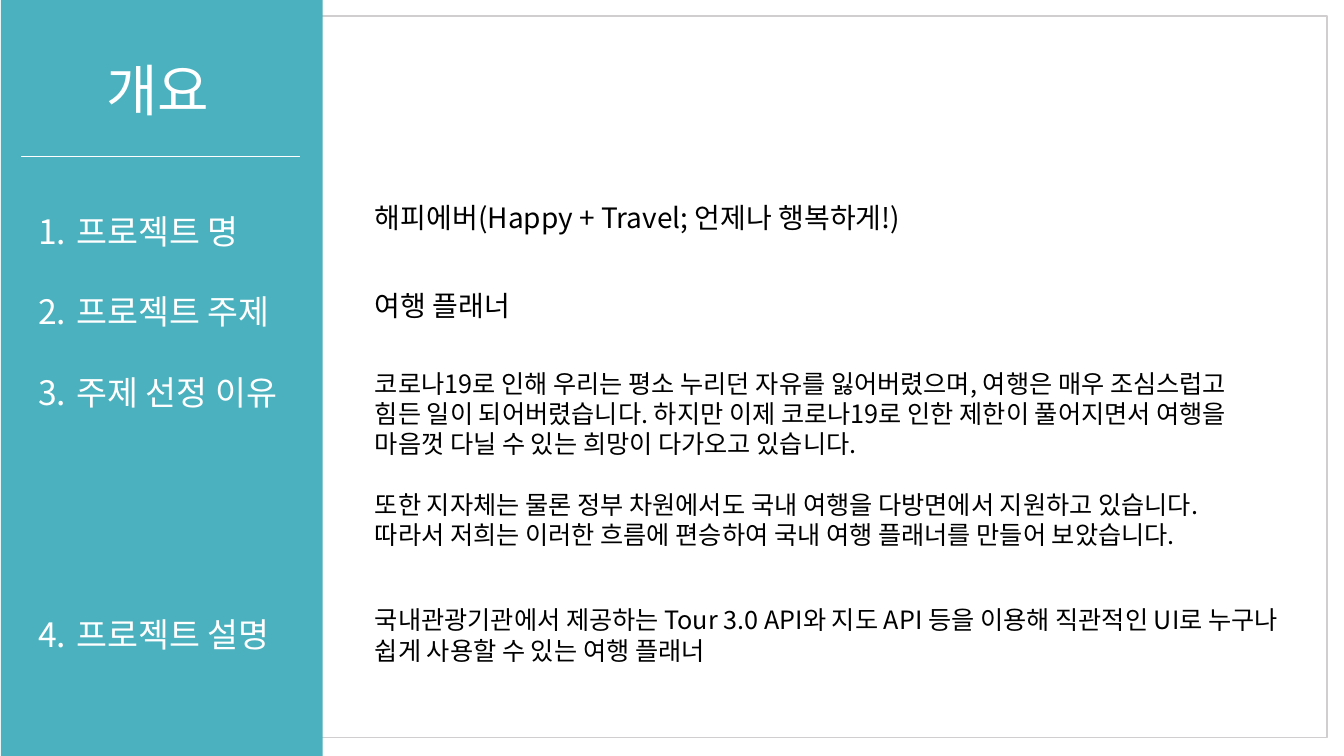
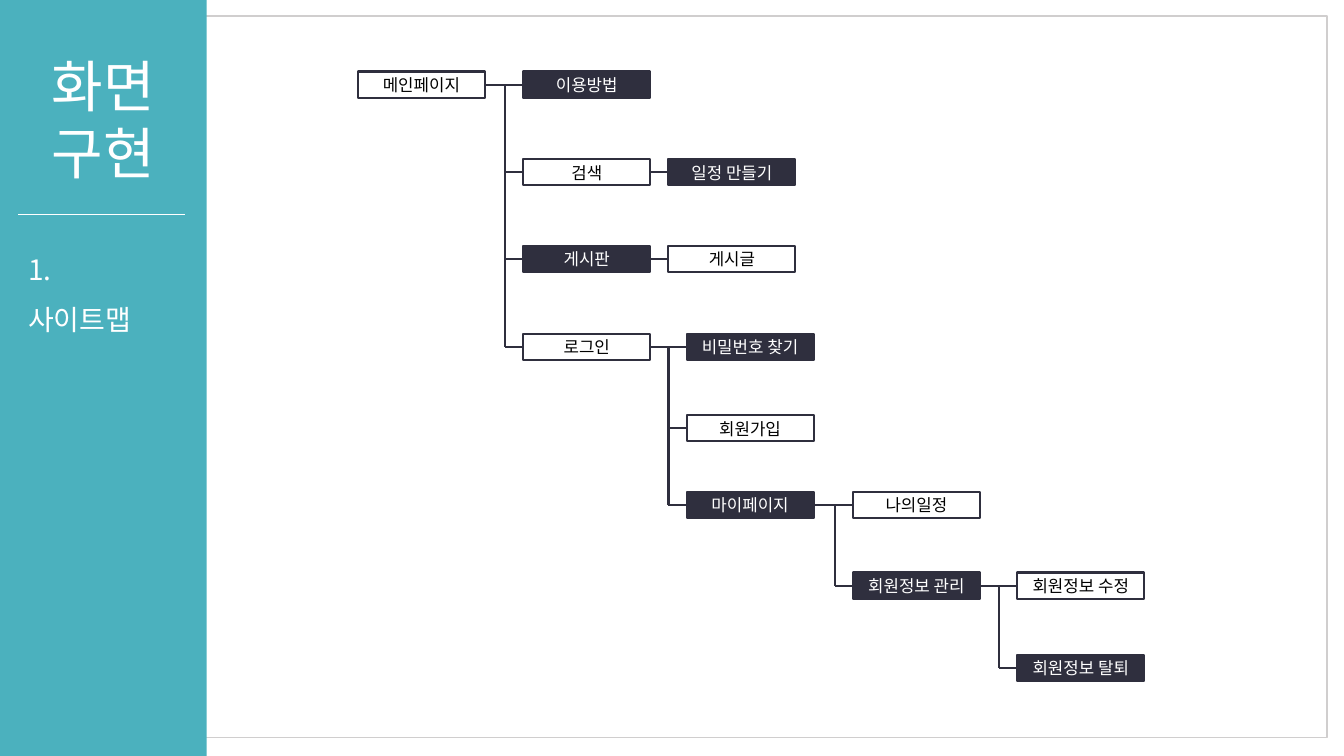
from lxml import etree
from pptx import Presentation
from pptx import util as u
from pptx.dml.color import RGBColor
from pptx.enum import shapes, text
from pptx.oxml import ns

PX = 9144
FONT = "Noto Sans CJK KR"
COLORS = {"teal": "4BB1BE", "frame": "D0CECE", "navy": "2F2F3E", "white": "FFFFFF", "black": "000000"}
NODE_WIDTH, NODE_HEIGHT, TRUNK_GAP = 126, 26, 18
TOP, LEFT, BOTTOM, RIGHT = range(4)


def color(name):
    return RGBColor.from_string(COLORS[name])


def write(shape, content, size=18, ink="black", align="LEFT", spacing=None, gaps=None, numbered=False):
    frame = shape.text_frame
    frame.word_wrap = True
    for index, line in enumerate(content.split("\n")):
        paragraph = frame.paragraphs[0] if index == 0 else frame.add_paragraph()
        paragraph.alignment = getattr(text.PP_ALIGN, align)
        if spacing:
            paragraph.line_spacing = spacing
        if gaps and index in gaps:
            paragraph.space_before = u.Pt(gaps[index])
        if numbered:
            properties = paragraph._p.get_or_add_pPr()
            properties.set("marL", str(38 * PX))
            properties.set("indent", str(-38 * PX))
            etree.SubElement(properties, ns.qn("a:buFont"), typeface="+mj-lt")
            etree.SubElement(properties, ns.qn("a:buAutoNum"), type="arabicPeriod")
        run = paragraph.add_run()
        run.text = line
        run.font.size = u.Pt(size)
        run.font.color.rgb = color(ink)
        run.font.name = FONT
        etree.SubElement(run._r.get_or_add_rPr(), ns.qn("a:ea"), typeface=FONT)


class Deck:
    """Holds the shared style and the slide being drawn."""

    def __init__(self):
        self.presentation = Presentation()
        self.presentation.slide_width = 1333 * PX
        self.presentation.slide_height = 750 * PX
        self.slide = None

    def rectangle(self, left, top, width, height, fill=None, line=None, weight=1):
        shape = self.slide.shapes.add_shape(
            shapes.MSO_SHAPE.RECTANGLE, left * PX, top * PX, width * PX, height * PX)
        shape.shadow.inherit = False
        if fill:
            shape.fill.solid()
            shape.fill.fore_color.rgb = color(fill)
        else:
            shape.fill.background()
        if line:
            shape.line.color.rgb = color(line)
            shape.line.width = u.Pt(weight)
        else:
            shape.line.fill.background()
        return shape

    def textbox(self, left, top, width, height, content, **style):
        box = self.slide.shapes.add_textbox(left * PX, top * PX, width * PX, height * PX)
        write(box, content, **style)

    def line(self, start, end, ink="navy", weight=1.5, begin=None, finish=None):
        points = [value * PX for value in (*start, *end)]
        connector = self.slide.shapes.add_connector(shapes.MSO_CONNECTOR.STRAIGHT, *points)
        connector.line.color.rgb = color(ink)
        connector.line.width = u.Pt(weight)
        etree.SubElement(connector._element.spPr, ns.qn("a:effectLst"))
        if begin is not None:
            connector.begin_connect(begin, RIGHT)
        if finish is not None:
            connector.end_connect(finish, LEFT)

    def page(self, title, band, title_area, divider):
        self.slide = self.presentation.slides.add_slide(self.presentation.slide_layouts[6])
        self.rectangle(19, 16, 1297, 716, line="frame")
        self.rectangle(band[0], 0, band[1], 750, fill="teal")
        self.textbox(*title_area, title, size=40, ink="white", align="CENTER")
        left, right, height = divider
        self.line((left, height), (right, height), ink="white", weight=1)

    def node(self, label, left, top, dark):
        shape = self.rectangle(left, top, NODE_WIDTH, NODE_HEIGHT,
                               fill="navy" if dark else None, line="navy", weight=1.5)
        shape.text_frame.vertical_anchor = text.MSO_ANCHOR.MIDDLE
        write(shape, label, size=12, ink="white" if dark else "black", align="CENTER")
        return shape

    def branch(self, nodes, places, parent, children):
        def side(name, offset=0):
            left, top = places[name]
            return left + offset, top + NODE_HEIGHT // 2

        first, *others = children
        self.line(side(parent, NODE_WIDTH), side(first), begin=nodes[parent], finish=nodes[first])
        for name in others:
            self.line(side(name, -TRUNK_GAP), side(name), finish=nodes[name])
        if others:
            self.line(side(first, -TRUNK_GAP), side(others[-1], -TRUNK_GAP))


def overview(deck):
    deck.page("개요", (1, 319), (54, 50, 205, 77), (21, 298, 155))
    deck.textbox(28, 164, 272, 485, "프로젝트 명\n프로젝트 주제\n주제 선정 이유\n프로젝트 설명",
                 size=24, ink="white", spacing=2.0, gaps={3: 115}, numbered=True)
    reasons = "\n".join([
        "코로나19로 인해 우리는 평소 누리던 자유를 잃어버렸으며, 여행은 매우 조심스럽고",
        "힘든 일이 되어버렸습니다. 하지만 이제 코로나19로 인한 제한이 풀어지면서 여행을",
        "마음껏 다닐 수 있는 희망이 다가오고 있습니다.",
        "또한 지자체는 물론 정부 차원에서도 국내 여행을 다방면에서 지원하고 있습니다.",
        "따라서 저희는 이러한 흐름에 편승하여 국내 여행 플래너를 만들어 보았습니다.",
    ])
    description = ("국내관광기관에서 제공하는 Tour 3.0 API와 지도 API 등을 이용해 직관적인 UI로 "
                   "누구나 쉽게 사용할 수 있는 여행 플래너")
    for top, height, content, style in (
        (194, 44, "해피에버(Happy + Travel; 언제나 행복하게!)", {"size": 20}),
        (281, 44, "여행 플래너", {"size": 20}),
        (360, 192, reasons, {"gaps": {3: 22}}),
        (595, 71, description, {}),
    ):
        deck.textbox(362, top, 932, height, content, **style)


def sitemap(deck):
    deck.page("화면\n구현", (0, 205), (0, 46, 205, 145), (18, 184, 213))
    deck.textbox(18, 229, 130, 110, "1. 사이트맵", size=20, ink="white", spacing=1.5)
    pages = (
        ("메인페이지", 355, 71, False),
        ("이용방법", 519, 71, True),
        ("검색", 519, 158, False),
        ("일정 만들기", 663, 158, True),
        ("게시판", 519, 244, True),
        ("게시글", 663, 244, False),
        ("로그인", 519, 331, False),
        ("비밀번호 찾기", 681, 331, True),
        ("회원가입", 681, 412, False),
        ("마이페이지", 681, 488, True),
        ("나의일정", 846, 488, False),
        ("회원정보 관리", 846, 568, True),
        ("회원정보 수정", 1009, 568, False),
        ("회원정보 탈퇴", 1009, 650, True),
    )
    nodes = {page[0]: deck.node(*page) for page in pages}
    places = {label: (left, top) for label, left, top, _ in pages}
    for parent, children in {
        "메인페이지": ("이용방법", "검색", "게시판", "로그인"),
        "검색": ("일정 만들기",),
        "게시판": ("게시글",),
        "로그인": ("비밀번호 찾기", "회원가입", "마이페이지"),
        "마이페이지": ("나의일정", "회원정보 관리"),
        "회원정보 관리": ("회원정보 수정", "회원정보 탈퇴"),
    }.items():
        deck.branch(nodes, places, parent, children)


def main():
    deck = Deck()
    overview(deck)
    sitemap(deck)
    deck.presentation.save("out.pptx")


if __name__ == "__main__":
    main()
